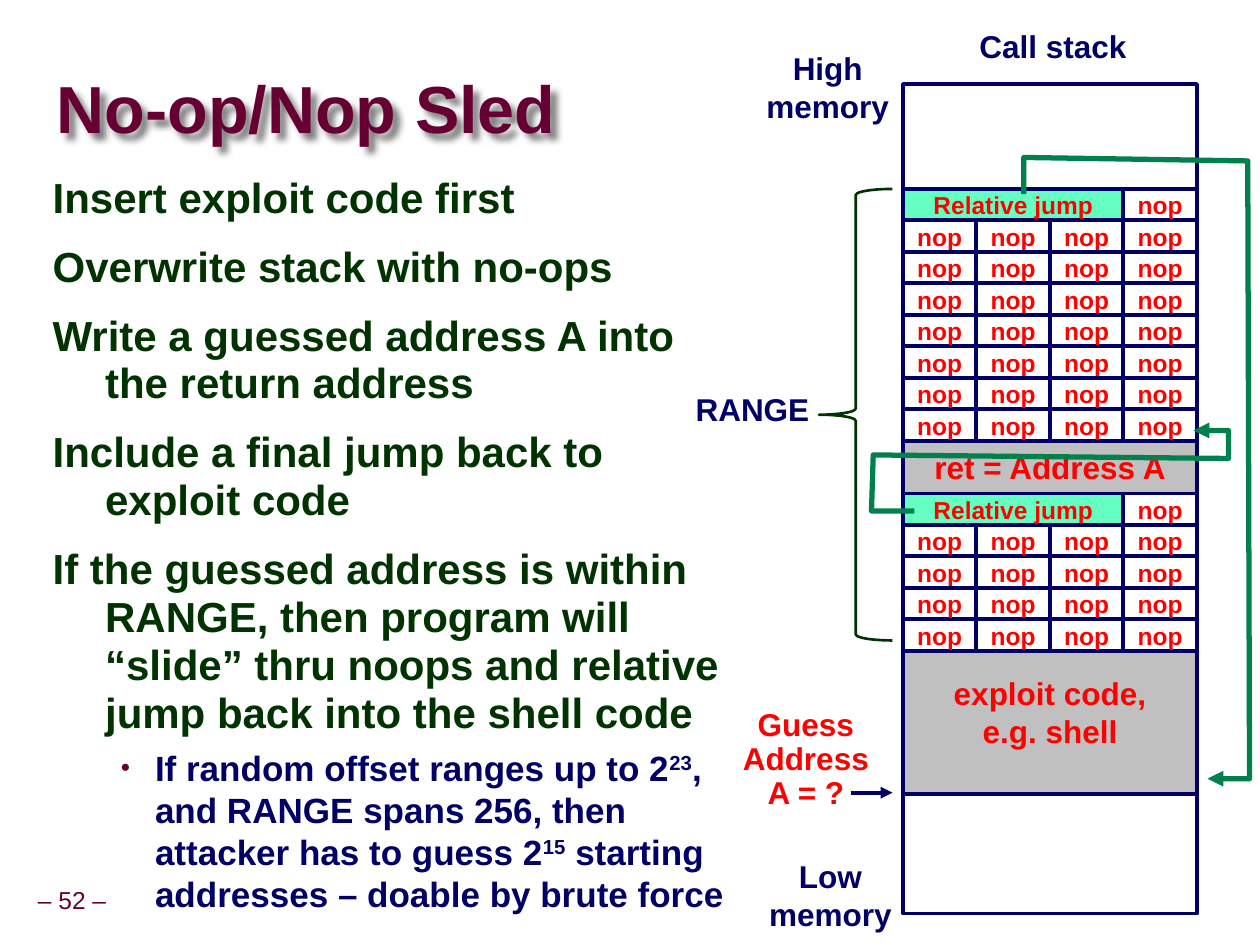
from lxml import etree
from pptx import Presentation
from pptx.dml.color import RGBColor
from pptx.enum import shapes, text
from pptx.oxml import ns
from pptx.util import Pt

COLORS = {
    "maroon": "660033", "forest": "003300", "navy": "000066", "red": "FF0000",
    "gray": "C0C0C0", "white": "FFFFFF", "mint": "66FFC2", "jump": "00804D",
    "shadow": "808080",
}
FONT = "Arial"
TITLE = "No-op/Nop Sled"
PAGE_NUMBER = "– 52 –"
POINTS = [
    "Insert exploit code first",
    "Overwrite stack with no-ops",
    "Write a guessed address A into the return address",
    "Include a final jump back to exploit code",
    "If the guessed address is within RANGE, then program will “slide” thru "
    "noops and relative jump back into the shell code",
]
DETAIL = [
    ("If random offset ranges up to 2", False), ("23", True),
    (", and RANGE spans 256, then attacker has to guess 2", False),
    ("15", True), (" starting addresses – doable by brute force", False),
]
LABELS = [
    ("RANGE", (390, 222, 80, 27), "navy", 0.9, "TOP"),
    ("Guess\nAddress\nA = ?", (417, 402, 87, 66), "red", 0.9, "TOP"),
    ("High\nmemory", (430.5, 24, 85, 51), "navy", None, "MIDDLE"),
    ("Low\nmemory", (432, 486, 85, 51), "navy", None, "MIDDLE"),
    ("Call stack", (552, 12, 99.5, 29), "navy", None, "MIDDLE"),
]
STACK_LEFT, CELL_WIDTH, CELL_HEIGHT, COLUMNS = 516, 42, 18, 4
STACK_WIDTH = CELL_WIDTH * COLUMNS
REGIONS = [
    ("", 48, 60, "white", 2),
    ("ret = Address A", 252, 30, "gray", 2),
    ("", 420, 102, "white", 2),
    ("exploit code,\ne.g. shell", 337, 116.5, "gray", 2.25),
]
SLEDS = [(108, 8), (282, 5)]
JUMPS = [
    [(522.5, 292), (498, 292), (499, 260), (702, 262), (702, 246), (682, 246)],
    [(585, 111), (585, 90), (713, 92), (714, 445), (690, 445)],
]


def color(name):
    return RGBColor.from_string(COLORS[name])


def add_xml(parent, tag, **attributes):
    return etree.SubElement(parent, ns.qn(tag), attributes)


def style_text(frame, size, ink, bold=True, align="CENTER", spacing=None):
    for para in frame.paragraphs:
        para.alignment = getattr(text.PP_ALIGN, align)
        if spacing:
            para.line_spacing = spacing
        for span in para.runs:
            style_span(span, size, ink, bold)


def style_span(span, size, ink, bold=True):
    span.font.name, span.font.size, span.font.bold = FONT, Pt(size), bold
    span.font.color.rgb = color(ink)


def add_label(page, words, place, size, ink, anchor, inset=None, wrap=False, **style):
    box = page.shapes.add_textbox(*map(Pt, place))
    frame = box.text_frame
    frame.word_wrap = wrap
    frame.vertical_anchor = getattr(text.MSO_ANCHOR, anchor)
    if inset is not None:
        frame.margin_left = frame.margin_right = Pt(inset)
        frame.margin_top = frame.margin_bottom = Pt(inset)
    frame.text = words
    style_text(frame, size, ink, **style)
    return box


def add_block(page, words, place, fill, size, width=2.25):
    block = page.shapes.add_shape(shapes.MSO_SHAPE.RECTANGLE, *map(Pt, place))
    block.shadow.inherit = False
    block.fill.solid()
    block.fill.fore_color.rgb = color(fill)
    block.line.color.rgb = color("navy")
    block.line.width = Pt(width)
    if words:
        frame = block.text_frame
        frame.word_wrap = True
        frame.vertical_anchor = text.MSO_ANCHOR.MIDDLE
        frame.text = words
        style_text(frame, size, "red")
    return block


def add_arrowhead(shape):
    line = shape.element.spPr.find(ns.qn("a:ln"))
    add_xml(line, "a:tailEnd", type="triangle")


def add_title(page):
    box = add_label(page, TITLE, (32.5, 34.5, 633.5, 60), 38, "maroon", "MIDDLE",
                    inset=0, wrap=True, align="LEFT", spacing=0.87)
    effects = add_xml(box.element.spPr, "a:effectLst")
    shadow = add_xml(effects, "a:outerShdw", blurRad="50800", dist="53882",
                     dir="2700000", algn="tl", rotWithShape="0")
    add_xml(shadow, "a:srgbClr", val=COLORS["shadow"])


def add_body(page):
    box = add_label(page, "\n".join(POINTS), (23, 96.5, 409, 411), 24, "forest",
                    "TOP", wrap=True, align="LEFT", spacing=0.95)
    for index, para in enumerate(box.text_frame.paragraphs):
        para.space_before = Pt(12 if index else 0)
        properties = para._p.get_or_add_pPr()
        properties.set("marL", str(Pt(30)))
        properties.set("indent", str(Pt(-30)))

    para = box.text_frame.add_paragraph()
    properties = para._p.get_or_add_pPr()
    properties.set("marL", str(Pt(58.5)))
    properties.set("indent", str(Pt(-19.5)))
    bullet_color = add_xml(properties, "a:buClr")
    add_xml(bullet_color, "a:srgbClr", val=COLORS["maroon"])
    add_xml(properties, "a:buSzPct", val="75000")
    add_xml(properties, "a:buFont", typeface=FONT)
    add_xml(properties, "a:buChar", char="•")
    para.level = 1
    para.space_before = Pt(5)
    for words, raised in DETAIL:
        span = para.add_run()
        span.text = words
        style_span(span, 20, "navy")
        if raised:
            span._r.get_or_add_rPr().set("baseline", "30000")


def add_stack(page):
    for words, top, height, fill, width in REGIONS:
        block = add_block(page, words, (STACK_LEFT, top, STACK_WIDTH, height),
                          fill, 18, width)
        if words.startswith("exploit"):
            block.text_frame.margin_top = Pt(27)
    for top, rows in SLEDS:
        for row in range(rows):
            y = top + row * CELL_HEIGHT
            for column in range(COLUMNS):
                if row == 0 and column < COLUMNS - 1:
                    continue
                x = STACK_LEFT + column * CELL_WIDTH
                add_block(page, "nop", (x, y, CELL_WIDTH, CELL_HEIGHT), "white", 14)
        jump_width = CELL_WIDTH * (COLUMNS - 1)
        add_block(page, "Relative jump", (STACK_LEFT, top, jump_width, CELL_HEIGHT),
                  "mint", 14)


def add_range_brace(page):
    brace = page.shapes.add_shape(shapes.MSO_SHAPE.LEFT_BRACE,
                                  Pt(468), Pt(108), Pt(42), Pt(258))
    brace.shadow.inherit = False
    brace.fill.background()
    brace.line.color.rgb = color("forest")
    brace.line.width = Pt(1.5)


def add_guess_arrow(page):
    arrow = page.shapes.add_connector(shapes.MSO_CONNECTOR.STRAIGHT,
                                      Pt(486), Pt(453), Pt(510), Pt(453))
    arrow.line.color.rgb = color("navy")
    arrow.line.width = Pt(2.25)
    add_xml(arrow.element.spPr, "a:effectLst")
    add_arrowhead(arrow)


def add_jump(page, corners):
    start, *rest = [(Pt(x), Pt(y)) for x, y in corners]
    builder = page.shapes.build_freeform(*start)
    builder.add_line_segments(rest, close=False)
    jump = builder.convert_to_shape()
    jump.shadow.inherit = False
    jump.fill.background()
    jump.line.color.rgb = color("jump")
    jump.line.width = Pt(3)
    add_arrowhead(jump)


def main():
    deck = Presentation()
    deck.slide_width, deck.slide_height = Pt(720), Pt(540)
    page = deck.slides.add_slide(deck.slide_layouts[6])
    add_label(page, PAGE_NUMBER, (17.5, 504, 47.5, 22.5), 14, "maroon", "MIDDLE",
              inset=3.6, bold=False, spacing=0.9)
    add_title(page)
    add_body(page)
    add_range_brace(page)
    add_stack(page)
    for words, place, ink, spacing, anchor in LABELS:
        add_label(page, words, place, 18, ink, anchor, spacing=spacing)
    add_guess_arrow(page)
    for corners in JUMPS:
        add_jump(page, corners)
    deck.save("out.pptx")


if __name__ == "__main__":
    main()
